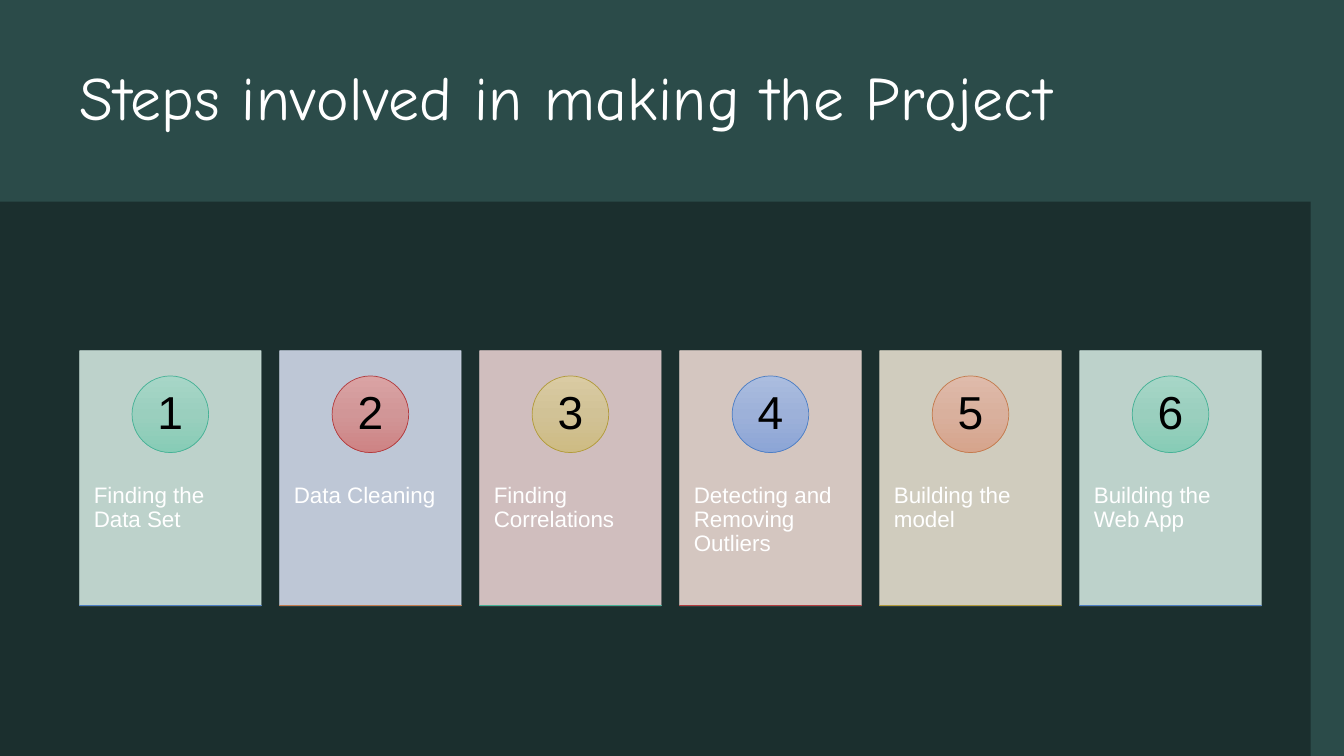
from copy import deepcopy

from lxml import etree
from pptx import Presentation, util as u
from pptx.dml.color import RGBColor
from pptx.enum import shapes, text
from pptx.oxml.ns import qn

COLORS = {"dark": "1B2F2E", "band": "2B4B49", "white": "FFFFFF", "black": "000000"}
# Accent: gradient top, middle, bottom, then outline
ACCENTS = {
    "green": ("A7D6C7", "9ACFBE", "87CCB6", "46B196"),
    "red": ("DAA3A4", "D19697", "CE8384", "B13B3E"),
    "yellow": ("DACBA3", "D1C296", "CEBB83", "B19A3B"),
    "blue": ("ABBDDF", "9DB1D9", "8CA5D6", "4D7EC3"),
    "orange": ("DFBBAB", "D9B09D", "D6A48C", "C37B4D"),
}
# Caption, card fill, badge accent, base line accent
STEPS = [
    ("Finding the Data Set", "CFE4DD", "green", "blue"),
    ("Data Cleaning", "D0D8E9", "red", "orange"),
    ("Finding Correlations", "E4CECE", "yellow", "green"),
    ("Detecting and Removing Outliers", "E9D7D0", "blue", "red"),
    ("Building the model", "E4DECE", "orange", "yellow"),
    ("Building the Web App", "CFE4DD", "green", "blue"),
]
WIDTH, HEIGHT = 13.33, 7.5
LEFT, PITCH, TOP = 0.79, 1.984, 3.48
CARD_W, CARD_H, BADGE = 1.8, 2.53, 0.76


def write(sp, words, size, color, font="Arial", align=text.PP_ALIGN.LEFT,
          anchor=text.MSO_ANCHOR.TOP, insets=(0, 0, 0, 0), spacing=0.9):
    tf = sp.text_frame
    tf.word_wrap = True
    tf.auto_size = text.MSO_AUTO_SIZE.NONE
    tf.vertical_anchor = anchor
    tf.margin_left, tf.margin_top, tf.margin_right, tf.margin_bottom = map(u.Inches, insets)
    p = tf.paragraphs[0]
    p.alignment, p.line_spacing = align, spacing
    r = p.add_run()
    r.text = words
    r.font.size, r.font.name = u.Pt(size), font
    r.font.color.rgb = RGBColor.from_string(COLORS[color])
    return r


def add_box(kind, x, y, w, h, fill, line=None, alpha=None):
    """Add a shape; a three-colour fill becomes a top-to-bottom gradient."""
    sp = s.shapes.add_shape(kind, *map(u.Inches, (x, y, w, h)))
    sp.shadow.inherit = False
    if isinstance(fill, str):
        sp.fill.solid()
        sp.fill.fore_color.rgb = RGBColor.from_string(fill)
    else:
        sp.fill.gradient()
        sp.fill.gradient_angle = 270
        first = sp._element.spPr.find(".//" + qn("a:gs"))
        first.addnext(deepcopy(first))
        for i, (stop, color) in enumerate(zip(sp.fill.gradient_stops, fill)):
            stop.color.rgb = RGBColor.from_string(color)
            stop.position = i / 2
    if line:
        sp.line.color.rgb = RGBColor.from_string(line)
        sp.line.width = u.Pt(0.5)
    else:
        sp.line.fill.background()
    if alpha:
        for color in sp._element.spPr.iter(qn("a:srgbClr")):
            etree.SubElement(color, qn("a:alpha")).set("val", str(alpha * 1000))
    return sp


prs = Presentation()
prs.slide_width, prs.slide_height = u.Inches(WIDTH), u.Inches(HEIGHT)
s = prs.slides.add_slide(prs.slide_layouts[5])
s.background.fill.solid()
s.background.fill.fore_color.rgb = RGBColor.from_string(COLORS["dark"])

# Header band, title above it, and the torn lower edge
RECT = shapes.MSO_SHAPE.RECTANGLE
add_box(RECT, 0, 0, WIDTH, HEIGHT, COLORS["band"])

title = s.shapes.title
s.shapes._spTree.append(title._element)
title.left, title.top, title.width, title.height = map(u.Inches, (LEFT, 0.68, 11.73, 0.75))
r = write(title, "Steps involved in making the Project", 44, "white",
          font="Comic Neue", spacing=0.88)
r._r.get_or_add_rPr().set("spc", "40")

edge = [(10.12, 1.9), (11.77, 1.98), (12.43, 1.97), (13.23, 1.95), (WIDTH, 1.95),
        (WIDTH, HEIGHT), (0, HEIGHT), (0.01, 2.02), (0.08, 2.02), (1.4, 2.07),
        (2.72, 2.05), (3.54, 2.03), (4.36, 2.01)]
fb = s.shapes.build_freeform(*edge[0], scale=u.Inches(1))
fb.add_line_segments(edge[1:], close=True)
ground = fb.convert_to_shape()
ground.shadow.inherit = False
ground.fill.solid()
ground.fill.fore_color.rgb = RGBColor.from_string(COLORS["dark"])
ground.line.fill.background()

# Step cards
for i, (caption, fill, badge, base) in enumerate(STEPS):
    x = LEFT + i * PITCH
    card = add_box(RECT, x, TOP, CARD_W, CARD_H, fill, line=fill, alpha=90)
    write(card, caption, 16, "white", insets=(0.14, 1.32, 0.14, 0.36))
    *grad, outline = ACCENTS[badge]
    circle = add_box(shapes.MSO_SHAPE.OVAL, x + (CARD_W - BADGE) / 2, TOP + 0.25,
                     BADGE, BADGE, grad, line=outline)
    write(circle, str(i + 1), 33, "black", align=text.PP_ALIGN.CENTER,
          anchor=text.MSO_ANCHOR.MIDDLE, insets=(0.06, 0.01, 0.06, 0.01))
    *grad, outline = ACCENTS[base]
    add_box(RECT, x, TOP + CARD_H, CARD_W, 0, grad, line=outline)

prs.save("out.pptx")
